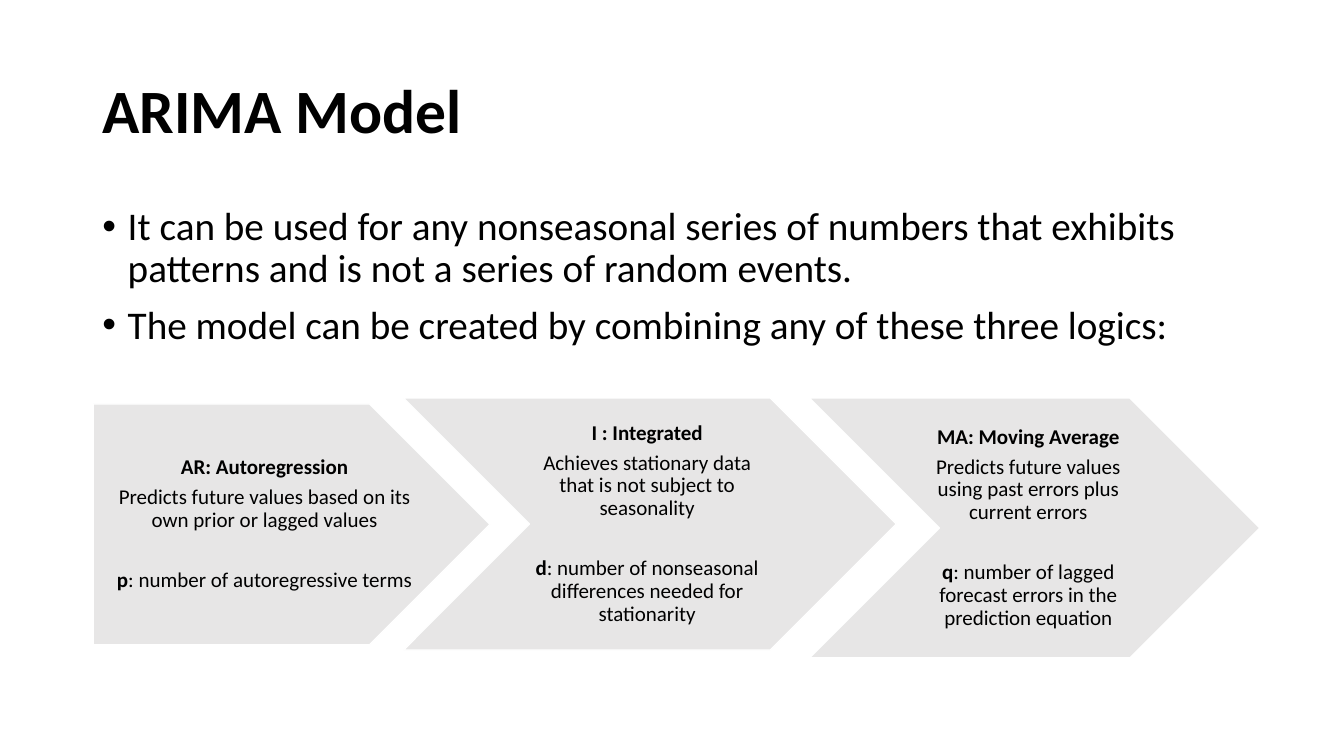
from pptx import Presentation
from pptx.dml.color import RGBColor
from pptx.enum.shapes import MSO_SHAPE
from pptx.enum.text import MSO_ANCHOR, PP_ALIGN
from pptx.oxml import parse_xml
from pptx.oxml.ns import nsdecls
from pptx.util import Cm, Pt

PENTAGON, CHEVRON = MSO_SHAPE.PENTAGON, MSO_SHAPE.CHEVRON
TOP, MIDDLE = MSO_ANCHOR.TOP, MSO_ANCHOR.MIDDLE
LEFT, CENTER = PP_ALIGN.LEFT, PP_ALIGN.CENTER


def color(code):
    return RGBColor.from_string(code)


class Deck:
    """Holds the style and the current slide."""

    font, ink, gray, white = "Calibri", "000000", "E7E6E6", "FFFFFF"

    def __init__(self):
        self.file = Presentation()
        self.file.slide_width, self.file.slide_height = Cm(33.87), Cm(19.05)
        self.slide = self.file.slides.add_slide(self.file.slide_layouts[6])

    def arrow(self, kind, box):
        shape = self.slide.shapes.add_shape(kind, *map(Cm, box))
        shape.shadow.inherit = False
        shape.adjustments[0] = 0.5
        shape.fill.solid()
        shape.fill.fore_color.rgb = color(self.gray)
        shape.line.color.rgb = color(self.white)
        shape.line.width = Pt(1)

    def frame(self, box, anchor, pads=(0.25, 0.13, 0.25, 0.13)):
        frame = self.slide.shapes.add_textbox(*map(Cm, box)).text_frame
        frame.word_wrap = True
        frame.vertical_anchor = anchor
        (frame.margin_left, frame.margin_top,
         frame.margin_right, frame.margin_bottom) = map(Cm, pads)
        return frame

    def text(self, frame, runs, size, gap=0, align=LEFT):
        para = frame.paragraphs[0]
        if para.runs:
            para = frame.add_paragraph()
        para.alignment = align
        para.line_spacing = 0.9
        para.space_before = Pt(gap)
        for words, bold in runs:
            run = para.add_run()
            run.text = words
            run.font.name = self.font
            run.font.size = Pt(size)
            run.font.bold = bold
            run.font.color.rgb = color(self.ink)
        return para

    def bullet(self, frame, words, gap):
        props = self.text(frame, [(words, False)], 28, gap)._p.get_or_add_pPr()
        props.set("marL", str(Cm(0.64)))
        props.set("indent", str(-Cm(0.64)))
        props.append(parse_xml(f'<a:buFont {nsdecls("a")} typeface="Arial"/>'))
        props.append(parse_xml(f'<a:buChar {nsdecls("a")} char="•"/>'))

    def step(self, kind, shape, label, pad, head, body, sign, note):
        self.arrow(kind, shape)
        frame = self.frame(label, MIDDLE, (pad, 0.1, 0.05, 0.1))
        self.text(frame, [(head, True)], 15, 0, CENTER)
        self.text(frame, [(body, False)], 15, 5.2, CENTER)
        self.text(frame, [(sign, True), (note, False)], 15, 26.9, CENTER)


def main():
    deck = Deck()
    title = deck.frame((2.33, 1.01, 29.21, 3.68), MIDDLE)
    deck.text(title, [("ARIMA Model", True)], 44)

    body = deck.frame((2.33, 5.08, 29.21, 4.2), TOP)
    deck.bullet(body, "It can be used for any nonseasonal series of numbers that "
                "exhibits patterns and is not a series of random events.", 0)
    deck.bullet(body, "The model can be created by combining any of these "
                "three logics:", 10)

    steps = [
        (PENTAGON, (2.35, 10.18, 10.0, 6.07), (2.35, 10.18, 8.46, 6.07), 0.23,
         "AR: Autoregression",
         "Predicts future values based on its own prior or lagged values",
         "p", ": number of autoregressive terms"),
        (CHEVRON, (10.17, 10.03, 12.42, 6.35), (13.21, 10.03, 6.07, 6.35), 0.18,
         "I : Integrated",
         "Achieves stationary data that is not subject to seasonality",
         "d", ": number of nonseasonal differences needed for stationarity"),
        (CHEVRON, (20.4, 10.03, 11.35, 6.55), (23.4, 10.03, 4.9, 6.55), 0.18,
         "MA: Moving Average",
         "Predicts future values using past errors plus current errors",
         "q", ": number of lagged forecast errors in the prediction equation"),
    ]
    for step in steps:
        deck.step(*step)
    deck.file.save("out.pptx")


if __name__ == "__main__":
    main()
